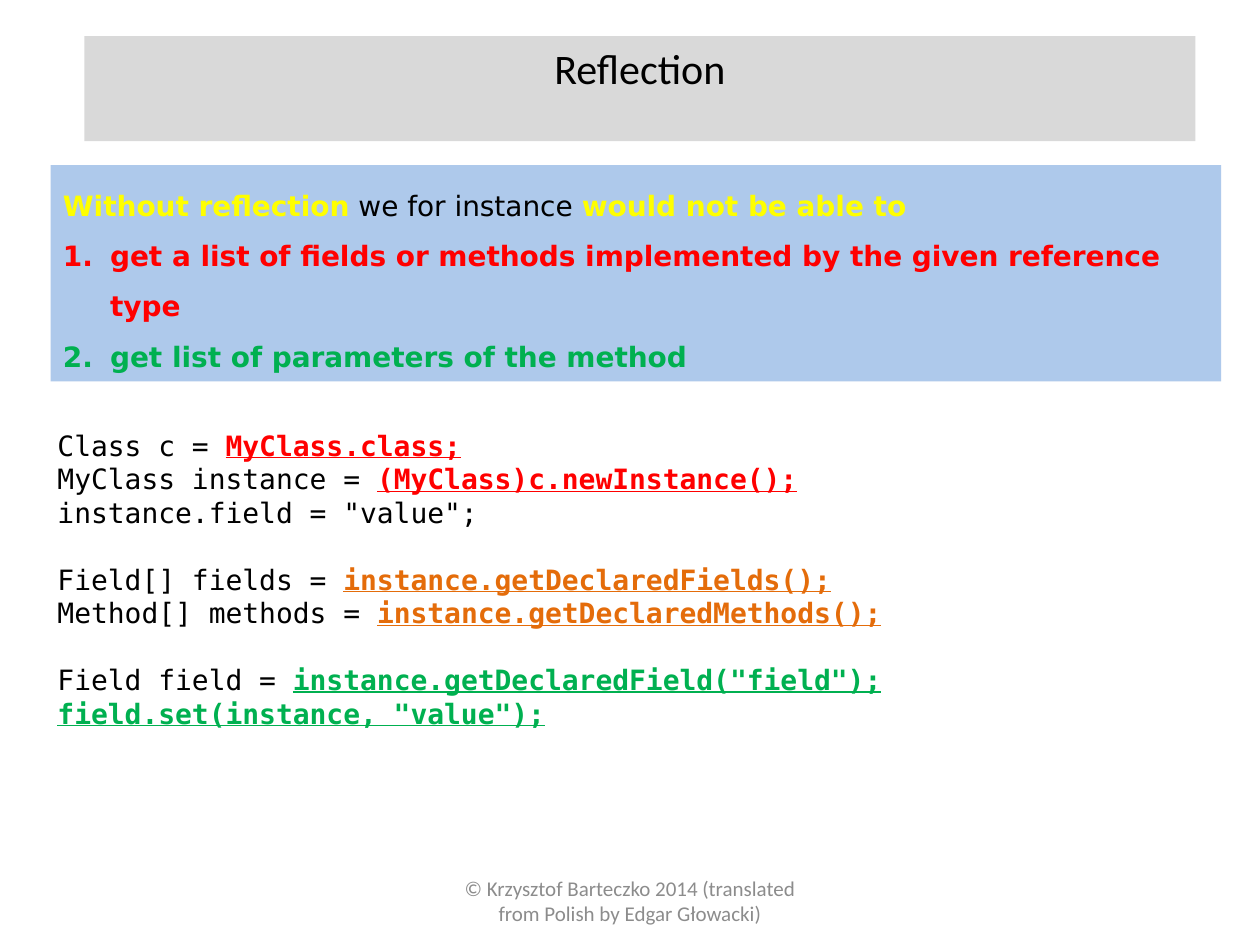
from dataclasses import dataclass

from lxml import etree
from pptx import Presentation
from pptx import util as u
from pptx.dml.color import RGBColor
from pptx.enum import shapes, text
from pptx.oxml import ns

BLACK = RGBColor(0x00, 0x00, 0x00)
GREY = RGBColor(0x8C, 0x8C, 0x8C)
SILVER = RGBColor(0xD9, 0xD9, 0xD9)
BLUE = RGBColor(0x8E, 0xB4, 0xE3)
YELLOW = RGBColor(0xFF, 0xFF, 0x00)
RED = RGBColor(0xFF, 0x00, 0x00)
GREEN = RGBColor(0x00, 0xB0, 0x50)
ORANGE = RGBColor(0xE4, 0x6C, 0x0A)

BODY_SIZE = 16
CODE_GAP = 19
INDENT = u.Cm(0.95)


@dataclass(frozen=True)
class Style:
    """Typeface and layout shared by all paragraphs of a box."""
    font: str
    size: int
    align: text.PP_ALIGN = text.PP_ALIGN.LEFT
    spacing: float = 1.0


@dataclass(frozen=True)
class Span:
    """A piece of text in one colour."""
    words: str
    color: RGBColor = BLACK
    bold: bool = False
    underline: bool = False


@dataclass(frozen=True)
class Para:
    """One paragraph: its spans, numbering and the gap above it in points."""
    spans: tuple[Span, ...]
    numbered: bool = False
    gap: int = 0


def code(plain: str, marked: str = "", color: RGBColor = BLACK, gap: int = 0) -> Para:
    """Describe a code line with a plain start and an emphasised end."""
    spans = (Span(plain), Span(marked, color, True, True))
    return Para(tuple(span for span in spans if span.words), gap=gap)


def place(box, left: float, top: float, width: float, height: float) -> None:
    """Move and size a box, in centimetres."""
    box.left, box.top = u.Cm(left), u.Cm(top)
    box.width, box.height = u.Cm(width), u.Cm(height)


def number(para) -> None:
    """Give a paragraph a hanging automatic number."""
    props = para._p.get_or_add_pPr()
    props.set("marL", str(INDENT))
    props.set("indent", str(-INDENT))
    etree.SubElement(props, ns.qn("a:buFont"), typeface="+mj-lt")
    etree.SubElement(props, ns.qn("a:buAutoNum"), type="arabicPeriod")


def write(box, style: Style, paras: list[Para], anchor=text.MSO_ANCHOR.TOP,
          fit=text.MSO_AUTO_SIZE.SHAPE_TO_FIT_TEXT) -> None:
    """Fill a box with styled paragraphs."""
    frame = box.text_frame
    frame.word_wrap = True
    frame.auto_size = fit
    frame.vertical_anchor = anchor
    for index, item in enumerate(paras):
        para = frame.add_paragraph() if index else frame.paragraphs[0]
        para.alignment = style.align
        para.line_spacing = style.spacing
        para.space_before = u.Pt(item.gap)
        if item.numbered:
            number(para)
        for span in item.spans:
            run = para.add_run()
            run.text = span.words
            run.font.name = style.font
            run.font.size = u.Pt(style.size)
            run.font.bold = span.bold
            run.font.underline = span.underline
            run.font.color.rgb = span.color


def paint(box, color: RGBColor, opacity: int = 100) -> None:
    """Fill a box with a colour at the given opacity in percent."""
    box.fill.solid()
    box.fill.fore_color.rgb = color
    if opacity < 100:
        tone = box._element.spPr.find(".//" + ns.qn("a:srgbClr"))
        etree.SubElement(tone, ns.qn("a:alpha"), val=str(opacity * 1000))


def add_text(page, left: float, top: float, width: float, height: float):
    """Add an empty text box, measured in centimetres."""
    return page.shapes.add_textbox(u.Cm(left), u.Cm(top), u.Cm(width), u.Cm(height))


REASONS = [
    Para((Span("Without reflection", YELLOW, True), Span(" we for instance "),
          Span("would not be able to", YELLOW, True))),
    Para((Span("get a list of fields or methods implemented by the given reference type",
               RED, True),), numbered=True),
    Para((Span("get list of parameters of the method ", GREEN, True),), numbered=True),
]

LISTING = [
    code("Class c = ", "MyClass.class;", RED),
    code("MyClass instance = ", "(MyClass)c.newInstance();", RED),
    code('instance.field = "value";'),
    code("Field[] fields = ", "instance.getDeclaredFields();", ORANGE, CODE_GAP),
    code("Method[] methods = ", "instance.getDeclaredMethods();", ORANGE),
    code("Field field = ", 'instance.getDeclaredField("field");', GREEN, CODE_GAP),
    code("", 'field.set(instance, "value");', GREEN),
]

FOOTER = "© Krzysztof Barteczko 2014 (translated from Polish by Edgar Głowacki)"


def main() -> None:
    """Build the slide and save the deck."""
    deck = Presentation()
    deck.slide_width, deck.slide_height = u.Cm(25.4), u.Cm(19.05)
    page = deck.slides.add_slide(deck.slide_layouts[5])

    title = page.shapes.title
    place(title, 1.7, 0.73, 22.4, 1.28)
    paint(title, SILVER)
    write(title, Style("Calibri", 24, text.PP_ALIGN.CENTER), [Para((Span("Reflection"),))])

    panel = page.shapes.add_shape(shapes.MSO_SHAPE.RECTANGLE, 0, 0, 0, 0)
    place(panel, 1.02, 3.33, 23.6, 4.36)
    panel.shadow.inherit = False
    panel.line.fill.background()
    paint(panel, BLUE, 71)
    write(panel, Style("DejaVu Sans", BODY_SIZE, spacing=1.5), REASONS)

    listing = add_text(page, 0.91, 8.51, 23.8, 6.4)
    write(listing, Style("DejaVu Sans Mono", BODY_SIZE), LISTING)

    footer = add_text(page, 8.68, 17.65, 8.04, 1.02)
    write(footer, Style("Calibri", 12, text.PP_ALIGN.CENTER),
          [Para((Span(FOOTER, GREY),))], text.MSO_ANCHOR.MIDDLE, text.MSO_AUTO_SIZE.NONE)

    deck.save("out.pptx")


main()
